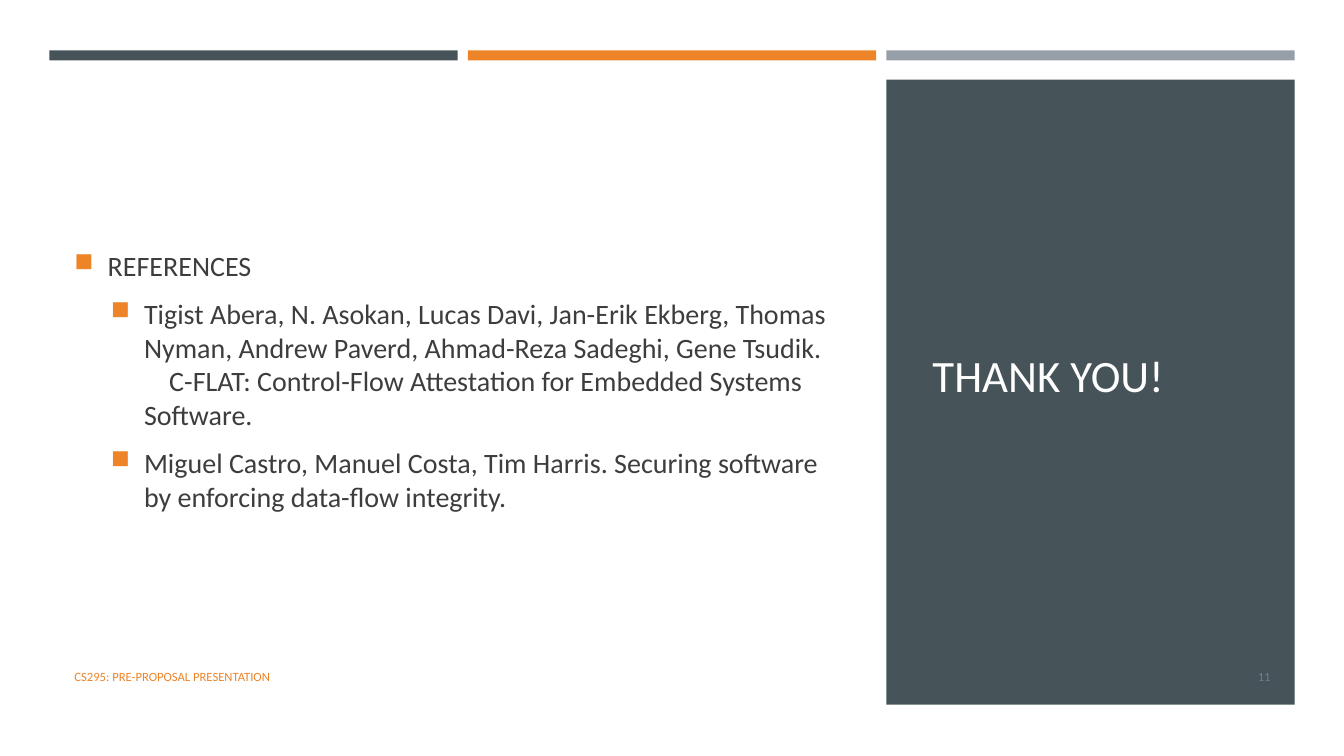
from dataclasses import dataclass

import lxml.etree
import pptx
import pptx.dml.color
import pptx.enum.shapes
import pptx.enum.text
import pptx.oxml.ns
import pptx.slide
import pptx.text.text
import pptx.util

Inches = pptx.util.Inches
Pt = pptx.util.Pt
RGBColor = pptx.dml.color.RGBColor
Align = pptx.enum.text.PP_ALIGN

SLATE = RGBColor(0x46, 0x53, 0x59)
ORANGE = RGBColor(0xED, 0x84, 0x28)
GRAY = RGBColor(0x96, 0x9F, 0xA7)
INK = RGBColor(0x3D, 0x3D, 0x3D)
OFF_WHITE = RGBColor(0xFF, 0xFE, 0xFF)
PAGE_NUMBER = RGBColor(0x6D, 0x81, 0x8A)

FONT = "Calibri"
COLUMN_LEFT, COLUMN_WIDTH, COLUMN_STEP = 0.49, 4.05, 4.15
PANEL_LEFT = COLUMN_LEFT + 2 * COLUMN_STEP


@dataclass
class Block:
    left: float
    top: float
    width: float
    height: float
    color: RGBColor


@dataclass
class Line:
    text: str
    size: float
    color: RGBColor
    align: Align = Align.LEFT
    before: float = 0
    after: float = 0
    margin: float = 0
    indent: float = 0
    level: int = 0
    bullet: bool = False


@dataclass
class Label:
    left: float
    top: float
    width: float
    height: float
    lines: list[Line]


def add_block(page: pptx.slide.Slide, block: Block) -> None:
    shape = page.shapes.add_shape(
        pptx.enum.shapes.MSO_SHAPE.RECTANGLE, Inches(block.left), Inches(block.top),
        Inches(block.width), Inches(block.height))
    shape.shadow.inherit = False
    shape.fill.solid()
    shape.fill.fore_color.rgb = block.color
    shape.line.fill.background()


def add_bullet(para: pptx.text.text._Paragraph) -> None:
    properties = para._p.get_or_add_pPr()
    qualify = pptx.oxml.ns.qn
    color = lxml.etree.SubElement(properties, qualify("a:buClr"))
    lxml.etree.SubElement(color, qualify("a:srgbClr"), val=str(ORANGE))
    lxml.etree.SubElement(properties, qualify("a:buSzPct"), val="92000")
    lxml.etree.SubElement(properties, qualify("a:buChar"), char="■")


def write_line(para: pptx.text.text._Paragraph, line: Line) -> None:
    para.text = line.text
    para.level = line.level
    para.alignment = line.align
    para.space_before = Pt(line.before)
    para.space_after = Pt(line.after)
    properties = para._p.get_or_add_pPr()
    properties.set("marL", str(Inches(line.margin)))
    properties.set("indent", str(Inches(line.indent)))
    if line.bullet:
        add_bullet(para)
    para.font.name = FONT
    para.font.size = Pt(line.size)
    para.font.color.rgb = line.color


def add_label(page: pptx.slide.Slide, label: Label) -> None:
    box = page.shapes.add_textbox(
        Inches(label.left), Inches(label.top), Inches(label.width), Inches(label.height))
    frame = box.text_frame
    frame.word_wrap = True
    frame.vertical_anchor = pptx.enum.text.MSO_ANCHOR.MIDDLE
    for index, line in enumerate(label.lines):
        write_line(frame.add_paragraph() if index else frame.paragraphs[0], line)


def reference(text: str, after: float = 6) -> Line:
    return Line(text, 20, INK, before=4.5, after=after, margin=0.69, indent=-0.33,
                level=1, bullet=True)


# Column bars and the title panel
BLOCKS = [
    Block(COLUMN_LEFT + column * COLUMN_STEP, 0.5, COLUMN_WIDTH, 0.1, color)
    for column, color in enumerate((SLATE, ORANGE, GRAY))
] + [Block(PANEL_LEFT, 0.79, COLUMN_WIDTH, 6.2, SLATE)]

# References, footer, title and page number
LABELS = [
    Label(0.64, 1.14, 7.67, 5.27, [
        Line("REFERENCES", 20, INK, before=4.5, after=6, margin=0.33, indent=-0.33,
             bullet=True),
        reference("Tigist Abera, N. Asokan, Lucas Davi, Jan-Erik Ekberg, Thomas Nyman, "
                  "Andrew Paverd, Ahmad-Reza Sadeghi, Gene Tsudik.", after=0),
        Line("C-FLAT: Control-Flow Attestation for Embedded Systems Software.", 20, INK,
             after=6, margin=0.69, indent=0.25, level=1),
        reference("Miguel Castro, Manuel Costa, Tim Harris. Securing software by "
                  "enforcing data-flow integrity."),
    ]),
    Label(0.64, 6.51, 7.56, 0.4,
          [Line("CS295: PRE-PROPOSAL PRESENTATION", 9, ORANGE, after=6)]),
    Label(9.15, 1.14, 3.34, 5.15, [Line("THANK YOU!", 32, OFF_WHITE)]),
    Label(11.55, 6.51, 1.15, 0.4, [Line("11", 9, PAGE_NUMBER, Align.RIGHT, after=6)]),
]


def main() -> None:
    deck = pptx.Presentation()
    deck.slide_width, deck.slide_height = Inches(13.33), Inches(7.5)
    page = deck.slides.add_slide(deck.slide_layouts[6])
    for block in BLOCKS:
        add_block(page, block)
    for label in LABELS:
        add_label(page, label)
    deck.save("out.pptx")


if __name__ == "__main__":
    main()
